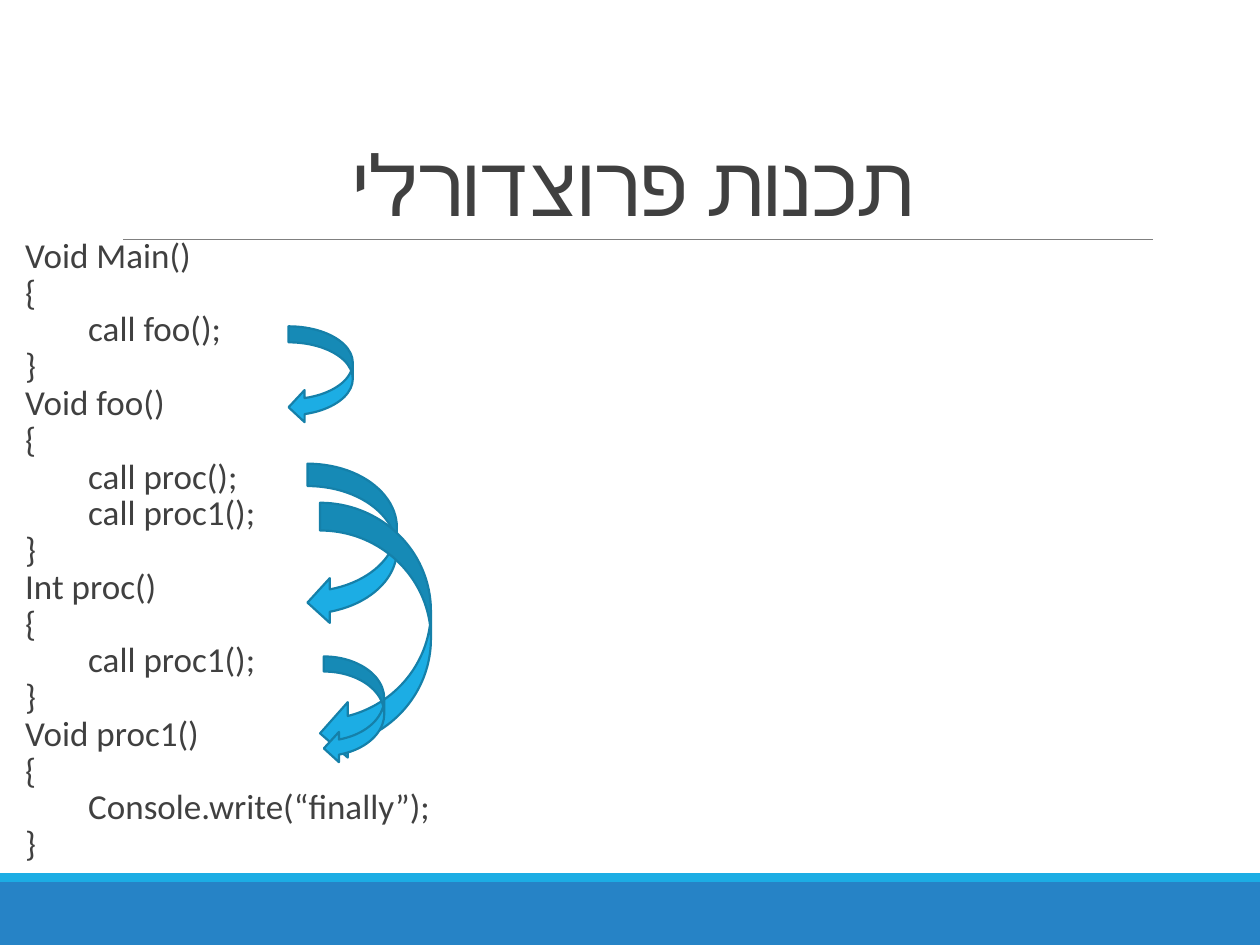
"""Builds a slide that traces calls between procedures in a short listing."""
from dataclasses import dataclass

from pptx import Presentation
from pptx.dml.color import RGBColor as RGB
from pptx.enum.shapes import MSO_CONNECTOR as Link, MSO_SHAPE as Shape
from pptx.enum.text import MSO_ANCHOR as Anchor, PP_ALIGN as Align
from pptx.oxml.ns import qn
from pptx.util import Inches, Pt

TITLE = "תכנות פרוצדורלי"
PROCS = [
    ("Void Main()", ["call foo();"]),
    ("Void foo()", ["call proc();", "call proc1();"]),
    ("Int proc()", ["call proc1();"]),
    ("Void proc1()", ["Console.write(“finally”);"]),
]
ARROWS = [
    (2.29, 2.59, 0.51, 0.77),
    (2.44, 3.68, 0.71, 1.28),
    (2.54, 3.99, 0.88, 2.05),
    (2.57, 5.21, 0.48, 0.85),
]
BANDS = [((0, 7, 10, 0.5), "band"), ((0, 6.93, 10, 0.07), "accent")]


@dataclass(frozen=True)
class Theme:
    band: str = "2683C6"
    accent: str = "1CADE4"
    edge: str = "1580A9"
    rule: str = "808080"
    ink: str = "404040"
    font: str = "Calibri"
    head: int = 48
    code: int = 20


theme = Theme()
deck = Presentation()
deck.slide_width, deck.slide_height = Inches(10), Inches(7.5)
slide = deck.slides.add_slide(deck.slide_layouts[6])
shapes = slide.shapes


def add_text(lines, box, size, align=Align.LEFT, anchor=Anchor.TOP, inset=0.1,
             space=1.0, before=0, after=0, rtl=False, track=0):
    frame = shapes.add_textbox(*map(Inches, box)).text_frame
    frame.word_wrap = True
    frame.vertical_anchor = anchor
    frame.margin_left = frame.margin_right = Inches(inset)
    for i, line in enumerate(lines):
        para = frame.paragraphs[0] if i == 0 else frame.add_paragraph()
        para.alignment, para.line_spacing = align, space
        para.space_before, para.space_after = Pt(before), Pt(after)
        if rtl:
            para._p.get_or_add_pPr().set("rtl", "1")
        run = para.add_run()
        run.text = line
        font = run.font
        font.name, font.size = theme.font, Pt(size)
        font.color.rgb = RGB.from_string(theme.ink)
        if track:
            font._element.set("spc", str(int(track * 100)))


def add_part(kind, box, fill, edge=None):
    part = shapes.add_shape(kind, *map(Inches, box))
    part.shadow.inherit = False
    part.fill.solid()
    part.fill.fore_color.rgb = RGB.from_string(fill)
    if edge:
        part.line.color.rgb = RGB.from_string(edge)
        part.line.width = Pt(1.25)
    else:
        part.line.fill.background()


for box, tone in BANDS:
    add_part(Shape.RECTANGLE, box, getattr(theme, tone))

rule = shapes.add_connector(Link.STRAIGHT, *map(Inches, (0.98, 1.9, 9.15, 1.9)))
rule.line.color.rgb = RGB.from_string(theme.rule)
rule.line.width = Pt(0.5)
props = rule._element.spPr
props.append(props.makeelement(qn("a:effectLst"), {}))

add_text([TITLE], (0.9, 0.31, 8.25, 1.59), theme.head, align=Align.CENTER,
         anchor=Anchor.BOTTOM, space=0.85, rtl=True, track=-0.5)

code = []
for name, body in PROCS:
    code += [name, "{", *("\t" + line for line in body), "}"]
add_text(code, (0.2, 2.04, 8.25, 5.34), theme.code, inset=0,
         space=Pt(7), before=12, after=2)

for box in ARROWS:
    add_part(Shape.CURVED_LEFT_ARROW, box, theme.accent, theme.edge)

deck.save("out.pptx")
